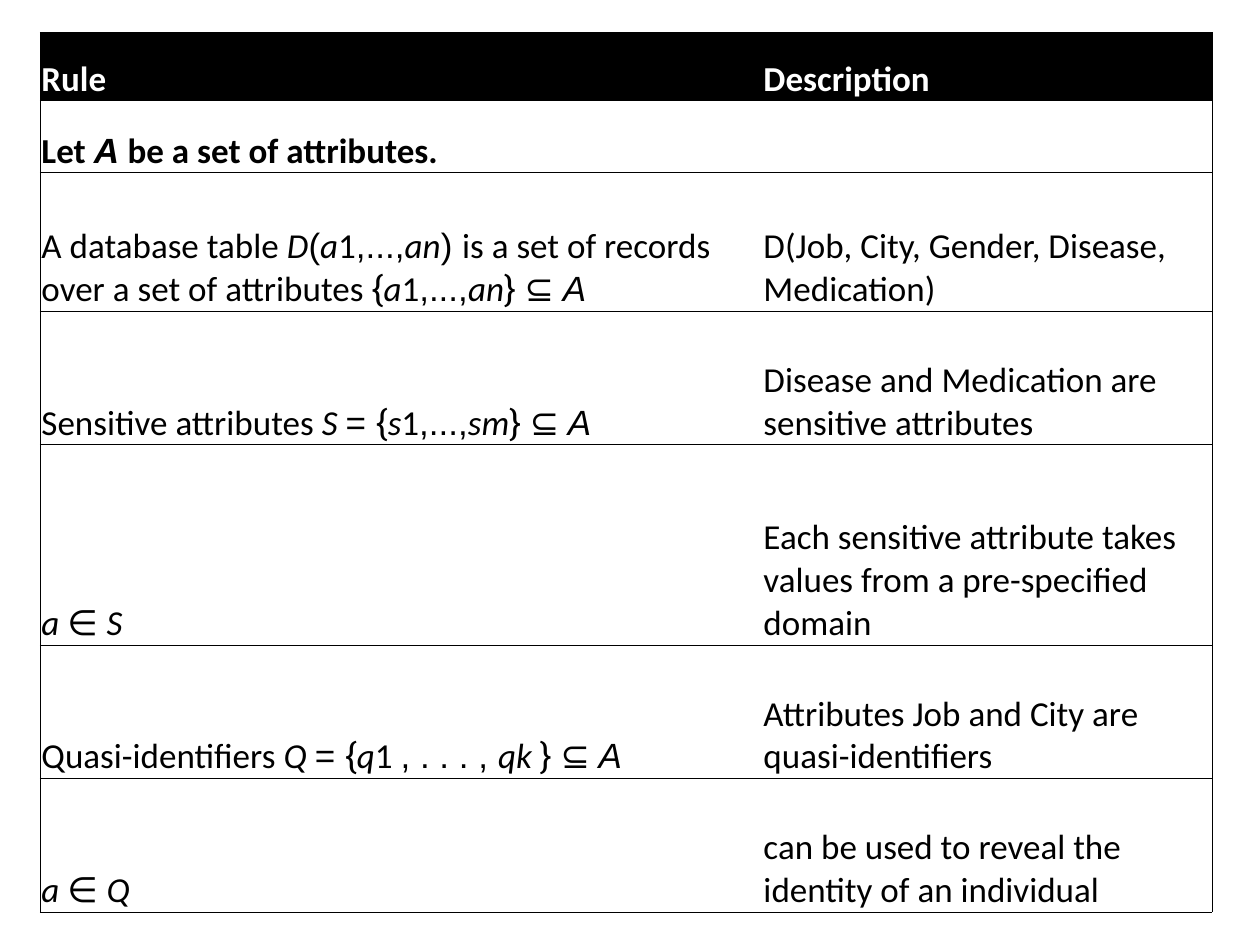
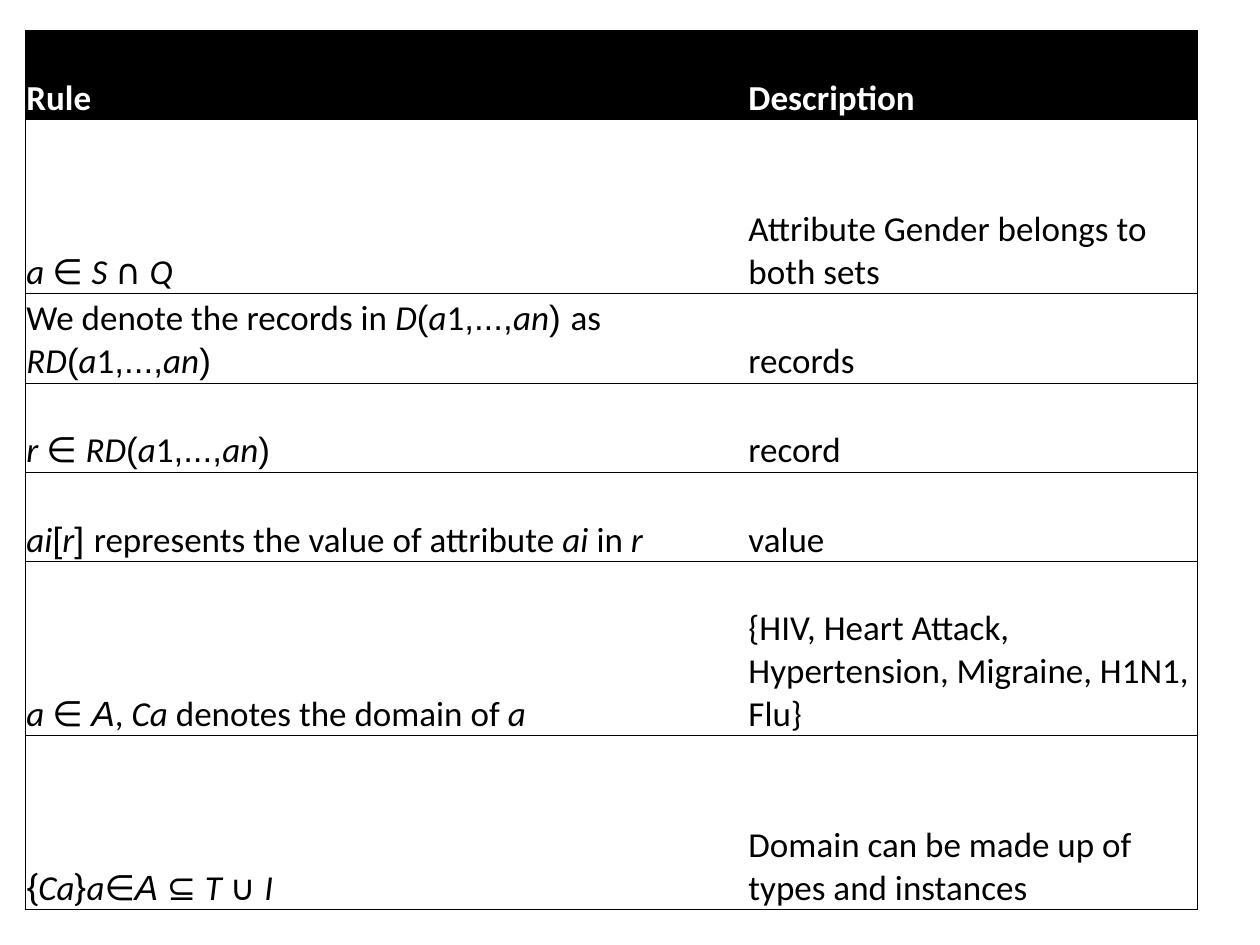
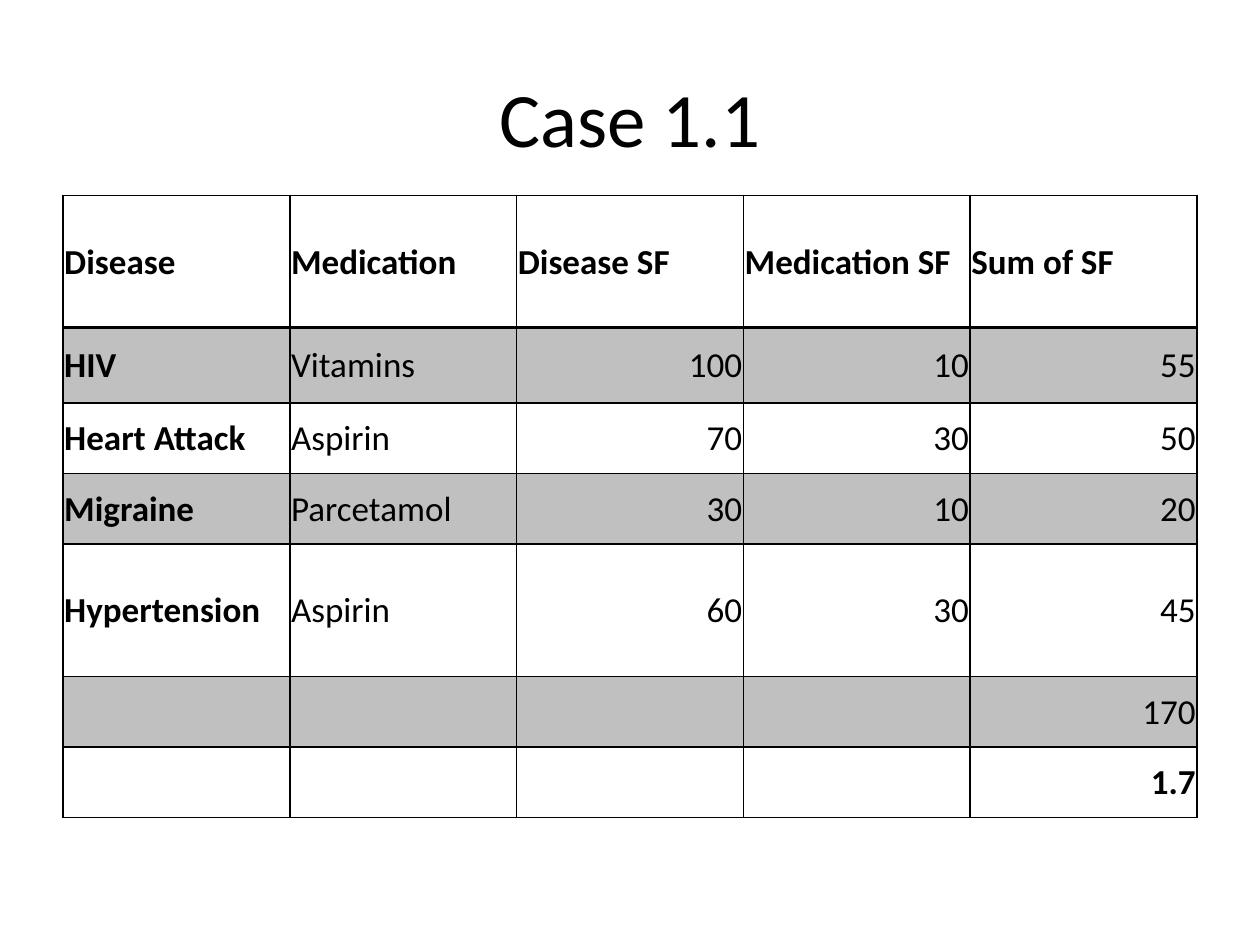
from lxml.etree import SubElement
from pptx import Presentation
from pptx.dml.color import RGBColor
from pptx.enum.text import MSO_ANCHOR, PP_ALIGN
from pptx.oxml.ns import qn
from pptx.util import Pt

COLORS = {"ink": "000000", "paper": "FFFFFF", "band": "C0C0C0"}
FONT = "Calibri"
CELL_INSET = 0.72

# A run starts after "|"; its first character may pick a font and italics
RUN_STYLES = {
    "_": (FONT, True),
    "^": ("Arial", False),
    "@": ("Arial", True),
    "~": ("Roboto", False),
}

# Rule tables
HEADER = ("Rule", "Description")
RULE_COLUMNS = (412.6, 257)
ATTRIBUTES = "^(|_a|1|^,...,|_an"

DEFINITIONS = [
    HEADER,
    ("Let |@A |be a set of attributes.", ""),
    (f"A database table |_D|{ATTRIBUTES}|^) |is a set of records over a set of attributes "
     "|~{|_a|1|^,...,|_an|~} ⊆ |@A",
     "D(Job, City, Gender, Disease, Medication)"),
    ("Sensitive attributes |_S |^= |~{|_s|1|^,...,|_sm|~} ⊆ |@A",
     "Disease and Medication are sensitive attributes"),
    ("_a |~∈ |_S", "Each sensitive attribute takes values from a pre-specified domain"),
    ("Quasi-identifiers |_Q |^= |~{|_q|1 |^, . . . , |_qk |~} ⊆ |@A",
     "Attributes Job and City are quasi-identifiers"),
    ("_a |~∈ |_Q", "can be used to reveal the identity of an individual"),
]
DEFINITION_HEIGHTS = (38.9, 41, 79.2, 76.3, 114.5, 76.3, 76.3)

RECORDS = [
    HEADER,
    ("_a |~∈ |_S |~∩ |_Q", "Attribute Gender belongs to both sets"),
    (f"We denote the records in |_D|{ATTRIBUTES}|^) |as |_RD|{ATTRIBUTES}|^)", "records"),
    (f"_r |~∈ |_RD|{ATTRIBUTES}|^)", "record"),
    ("_ai|^[|_r|^] |represents the value of attribute |_ai |in |_r", "value"),
    ("_a |~∈ |@A|, |_Ca |denotes the domain of |_a",
     "{HIV, Heart Attack, Hypertension, Migraine, H1N1, Flu}"),
    ("~{|_Ca|~}|_a|~∈|@A |~⊆ |_T |~∪ |_I", "Domain can be made up of types and instances"),
]
RECORD_HEIGHTS = (51.1, 99.4, 51.1, 51.1, 51.1, 99.4, 99.4)

# Case table
CASE = [
    ("Disease", "Medication", "Disease SF", "Medication SF", "Sum of SF"),
    ("HIV", "Vitamins", "100", "10", "55"),
    ("Heart Attack", "Aspirin", "70", "30", "50"),
    ("Migraine", "Parcetamol", "30", "10", "20"),
    ("Hypertension", "Aspirin", "60", "30", "45"),
    ("", "", "", "", "170"),
    ("", "", "", "", "1.7"),
]
CASE_HEIGHTS = (75.6, 43.2, 40.3, 40.3, 75.6, 40.3, 40.3)


def write_text(frame, text, size=20, color="ink", bold=False, align=PP_ALIGN.LEFT):
    """Write marked-up text into the first paragraph of a frame."""
    paragraph = frame.paragraphs[0]
    paragraph.alignment = align
    paragraph.font.size = Pt(size)
    for part in filter(None, text.split("|")):
        name, italic = RUN_STYLES.get(part[0], (FONT, False))
        run = paragraph.add_run()
        run.text = part[1:] if part[0] in RUN_STYLES else part
        run.font.name = name
        run.font.size = Pt(size)
        run.font.bold = bold
        run.font.italic = italic
        run.font.color.rgb = RGBColor.from_string(COLORS[color])


def set_borders(cell, widths):
    """Draw the given sides (L, R, T, B) in ink and clear the others."""
    properties = cell._tc.get_or_add_tcPr()
    for side in "LRTB":
        line = SubElement(properties, qn(f"a:ln{side}"))
        if side in widths:
            line.set("w", str(Pt(widths[side])))
            fill = SubElement(line, qn("a:solidFill"))
            SubElement(fill, qn("a:srgbClr")).set("val", COLORS["ink"])
        else:
            SubElement(line, qn("a:noFill"))


class Deck:
    def __init__(self):
        self.presentation = Presentation()
        self.presentation.slide_width = Pt(720)
        self.presentation.slide_height = Pt(540)
        self.slide = None

    def new_slide(self):
        self.slide = self.presentation.slides.add_slide(self.presentation.slide_layouts[6])

    def title(self, text):
        shape = self.slide.shapes.add_textbox(Pt(36), Pt(21.6), Pt(648), Pt(90))
        frame = shape.text_frame
        frame.word_wrap = True
        frame.vertical_anchor = MSO_ANCHOR.MIDDLE
        write_text(frame, text, size=44, align=PP_ALIGN.CENTER)

    def table(self, left, top, columns, heights):
        shape = self.slide.shapes.add_table(
            len(heights), len(columns), Pt(left), Pt(top), Pt(sum(columns)), Pt(sum(heights)))
        table = shape.table
        table.first_row = table.horz_banding = False
        for column, width in zip(table.columns, columns):
            column.width = Pt(width)
        for row, height in zip(table.rows, heights):
            row.height = Pt(height)
        return table

    def cell(self, cell, text, borders, fill=None, anchor=MSO_ANCHOR.MIDDLE, **text_format):
        cell.margin_left = cell.margin_right = cell.margin_top = Pt(CELL_INSET)
        cell.margin_bottom = 0
        cell.vertical_anchor = anchor
        set_borders(cell, borders)
        if fill:
            cell.fill.solid()
            cell.fill.fore_color.rgb = RGBColor.from_string(COLORS[fill])
        else:
            cell.fill.background()
        write_text(cell.text_frame, text, **text_format)

    def rule_table(self, left, top, rows, heights):
        table = self.table(left, top, RULE_COLUMNS, heights)
        for i, row in enumerate(rows):
            for j, text in enumerate(row):
                self.cell(
                    table.cell(i, j), text,
                    borders=dict.fromkeys("LTB" if j == 0 else "RTB", 0.5),
                    fill="ink" if i == 0 else None,
                    anchor=MSO_ANCHOR.BOTTOM,
                    color="paper" if i == 0 else "ink",
                    bold=i == 0 or text.startswith("Let "))

    def case_table(self, left, top, rows, heights):
        table = self.table(left, top, [129.6] * len(rows[0]), heights)
        last = len(rows) - 1
        for i, row in enumerate(rows):
            for j, text in enumerate(row):
                borders = dict.fromkeys("LRTB", 1)
                if i < 2:
                    borders["B" if i == 0 else "T"] = 1.5
                self.cell(
                    table.cell(i, j), text, borders,
                    fill="band" if i % 2 else None,
                    bold=i in (0, last) or j == 0,
                    align=PP_ALIGN.RIGHT if i > 0 and j > 1 else PP_ALIGN.LEFT)


def main():
    deck = Deck()

    # Definitions of attributes
    deck.new_slide()
    deck.rule_table(23, 18.7, DEFINITIONS, DEFINITION_HEIGHTS)

    # Records and domains
    deck.new_slide()
    deck.rule_table(14.4, 17.3, RECORDS, RECORD_HEIGHTS)

    # Worked case
    deck.new_slide()
    deck.title("Case 1.1")
    deck.case_table(36, 111.6, CASE, CASE_HEIGHTS)

    deck.presentation.save("out.pptx")


if __name__ == "__main__":
    main()
